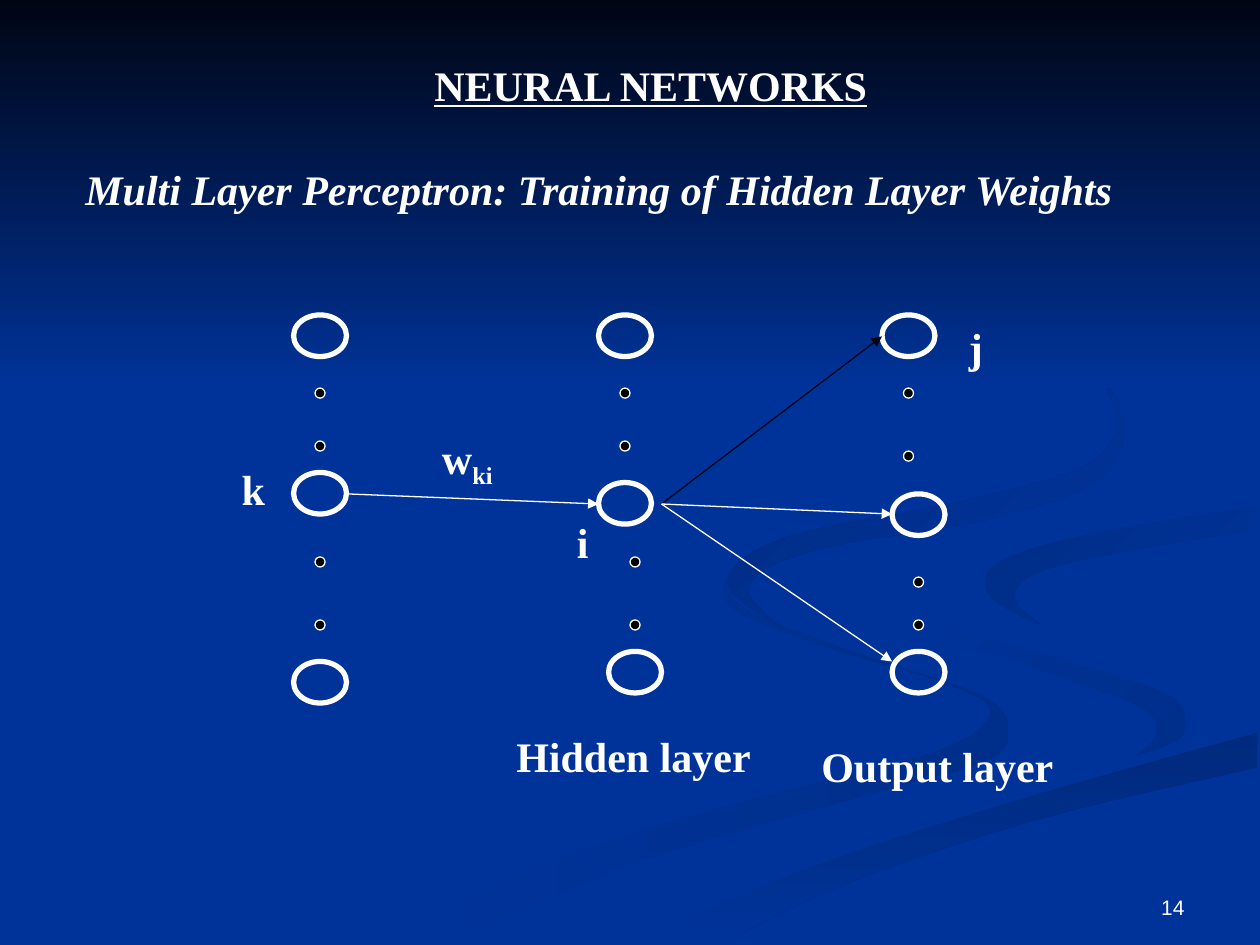
from lxml import etree
from pptx import Presentation
from pptx import util as u
from pptx.dml import color
from pptx.enum import shapes, text
from pptx.oxml import ns

WHITE, BLACK, BLUE, NIGHT = "FFFFFF", "000000", "003399", "000514"
SERIF = "Times New Roman"
STEPS = 5

SWIRLS = [
    ((BLUE, "002E8B", 0),
     [(5.75, 4.59), (5.81, 4.83), (6.54, 5.13), (7.52, 5.43), (7.86, 5.66), (7.39, 5.98),
      (5.79, 6.39), (4.17, 6.9), (3, 7.49)],
     [(3.61, 7.49), (4.99, 6.87), (6.76, 6.34), (7.8, 6.05), (8, 5.81), (7.81, 5.53),
      (6.82, 5.19), (5.94, 4.85), (5.75, 4.59)]),
    ((BLUE, "002E8B", 45),
     [(8.94, 6.05), (9.37, 5.86), (9.3, 5.53), (8.5, 5.24), (7.58, 4.98), (7.24, 4.64)],
     [(7.24, 4.64), (7.55, 5.05), (8.38, 5.36), (9.07, 5.62), (9.17, 5.85), (8.94, 6.05)]),
    (("002A7D", BLUE, 90),
     [(5.03, 7.49), (6.3, 6.93), (7.97, 6.38), (9.98, 5.81)],
     [(9.98, 6.09), (8.21, 6.51), (6.7, 7.02), (5.71, 7.49)]),
    ((BLUE,),
     [(9.99, 3.87), (8.3, 4.15), (7.32, 4.46), (7.34, 4.83), (8.31, 5.19), (9.31, 5.53),
      (9.36, 5.87), (8.13, 6.25), (6.19, 6.84), (4.77, 7.49)],
     [(5.03, 7.49), (6.3, 6.93), (7.97, 6.38), (9.99, 5.81)],
     [(9.99, 5.38), (8.66, 5.09), (7.86, 4.73), (8, 4.42), (8.99, 4.18), (9.99, 4.02)]),
    (("002D86", BLUE, 45),
     [(9.98, 4.02), (8.65, 4.24), (7.91, 4.47), (7.86, 4.74), (8.26, 4.96)],
     [(8.26, 4.96), (8.05, 4.72), (8.43, 4.48), (9.98, 4.2)]),
    (("002B82", BLUE, 45),
     [(7.62, 2.33), (8.43, 2.75), (8.9, 3.24), (8.76, 3.78), (7.86, 4.12), (6.49, 4.36),
      (5.94, 4.65), (6.22, 5)],
     [(6.22, 5), (5.77, 4.62), (6.25, 4.26), (7.63, 3.98), (8.7, 3.65), (8.76, 3.06),
      (7.62, 2.33)]),
    ((NIGHT, BLUE, 90), [(0, 0), (10, 0)], [(10, 3.08), (0, 3.08)]),
]

STACKS = [(2.33, (2.5, 3.75, 5.25), (3.08, 3.5, 4.42, 4.92)),
          (4.75, (2.5, 3.83), (3.08, 3.5)),
          (4.83, (5.17,), (4.42, 4.92)),
          (7, (2.5,), (3.08, 3.58)),
          (7.08, (3.92, 5.17), (4.58, 4.92))]
HUB = (5.25, 4)
ARROWS = [((2.75, 3.92), (4.75, 4), WHITE), (HUB, (7, 2.67), NIGHT),
          (HUB, (7.08, 4.08), WHITE), (HUB, (7.08, 5.25), WHITE)]
LABELS = [("k", 1.82, 3.63, 0.38), ("i", 4.48, 4.05, 0.29), ("j", 7.59, 2.5, 0.31),
          ("Hidden layer", 4, 5.75, 2.06), ("Output layer", 6.42, 5.83, 2.04)]


def rgb(value):
    """Turn a hex string into a colour."""
    return color.RGBColor.from_string(value)


def paint(fill, start, end=None, angle=0):
    """Fill with one colour, or with a gradient at a clockwise angle."""
    if end is None:
        fill.solid()
        fill.fore_color.rgb = rgb(start)
        return
    fill.gradient()
    fill.gradient_angle = (360 - angle) % 360
    for stop, value in zip(fill.gradient_stops, (start, end)):
        stop.color.rgb = rgb(value)


def blend(a, b, c, d, t):
    """Interpolate between b and c on a Catmull-Rom spline."""
    return b + t / 2 * (c - a + t * (2 * a - 5 * b + 4 * c - d + t * (3 * (b - c) + d - a)))


def smooth(edge):
    """Return points along a spline through the points of an edge."""
    padded = [edge[0], *edge, edge[-1]]
    curve = [tuple(blend(*axis, i / STEPS) for axis in zip(*padded[n:n + 4]))
             for n in range(len(edge) - 1) for i in range(STEPS)]
    return curve + [edge[-1]]


def add_swirl(s, colors, *edges):
    """Draw one closed background outline without a border."""
    first, *rest = [(u.Inches(x), u.Inches(y)) for edge in edges for x, y in smooth(edge)]
    builder = s.shapes.build_freeform(*first)
    builder.add_line_segments(rest, close=True)
    sp = builder.convert_to_shape()
    sp.shadow.inherit = False
    sp.line.fill.background()
    paint(sp.fill, *colors)


def add_ellipse(s, x, y, w, h, weight, fill=None):
    """Draw a white-edged ellipse, hollow unless a fill is given."""
    sp = s.shapes.add_shape(shapes.MSO_SHAPE.OVAL, *map(u.Inches, (x, y, w, h)))
    sp.shadow.inherit = False
    sp.line.color.rgb = rgb(WHITE)
    sp.line.width = u.Pt(weight)
    if fill:
        paint(sp.fill, fill)
    else:
        sp.fill.background()


def add_arrow(s, start, end, value):
    """Draw a thin line with a triangle at its end."""
    c = s.shapes.add_connector(shapes.MSO_CONNECTOR.STRAIGHT, *map(u.Inches, start + end))
    c.line.color.rgb = rgb(value)
    c.line.width = u.Pt(0.75)
    etree.SubElement(c.line._get_or_add_ln(), ns.qn("a:tailEnd"), type="triangle")
    etree.SubElement(c._element.spPr, ns.qn("a:effectLst"))


def add_text(s, words, x, y, w, h=0.5, align="LEFT", wrap=False, size=24, font=SERIF,
             bold=True, italic=False, underline=False, sub=None):
    """Add one white line of text with an optional subscript."""
    sp = s.shapes.add_textbox(*map(u.Inches, (x, y, w, h)))
    tf = sp.text_frame
    tf.word_wrap = wrap
    p = tf.paragraphs[0]
    p.alignment = getattr(text.PP_ALIGN, align)
    for part in filter(None, (words, sub)):
        r = p.add_run()
        r.text = part
        f = r.font
        f.name, f.size, f.bold = font, u.Pt(size), bold
        f.italic, f.underline = italic, underline
        f.color.rgb = rgb(WHITE)
    if sub:
        f._element.set("baseline", "-25000")
    return tf


def main():
    """Build the slide and save it."""
    prs = Presentation()
    prs.slide_width, prs.slide_height = u.Inches(10), u.Inches(7.5)
    s = prs.slides.add_slide(prs.slide_layouts[6])
    paint(s.background.fill, BLUE)
    for swirl in SWIRLS:
        add_swirl(s, *swirl)
    number = add_text(s, "14", 7.17, 6.83, 2.33, 0.52, "RIGHT", True, 12, "Arial", False)
    number.vertical_anchor = text.MSO_ANCHOR.BOTTOM
    add_text(s, "NEURAL NETWORKS", 1.25, 0.42, 7.83, align="CENTER", wrap=True, underline=True)
    add_text(s, "Multi Layer Perceptron: Training of Hidden Layer Weights", 0.58, 1.25, 9,
             align="JUSTIFY", wrap=True, italic=True)
    for x, nodes, dots in STACKS:
        for y in nodes:
            add_ellipse(s, x, y, 0.42, 0.33, 3)
        for y in dots:
            add_ellipse(s, x + 0.17, y, 0.08, 0.08, 0.75, BLACK)
    for arrow in ARROWS:
        add_arrow(s, *arrow)
    for label in LABELS:
        add_text(s, *label)
    add_text(s, "w", 3.41, 3.38, 0.6, 0.56, sub="ki")
    prs.save("out.pptx")


if __name__ == "__main__":
    main()
